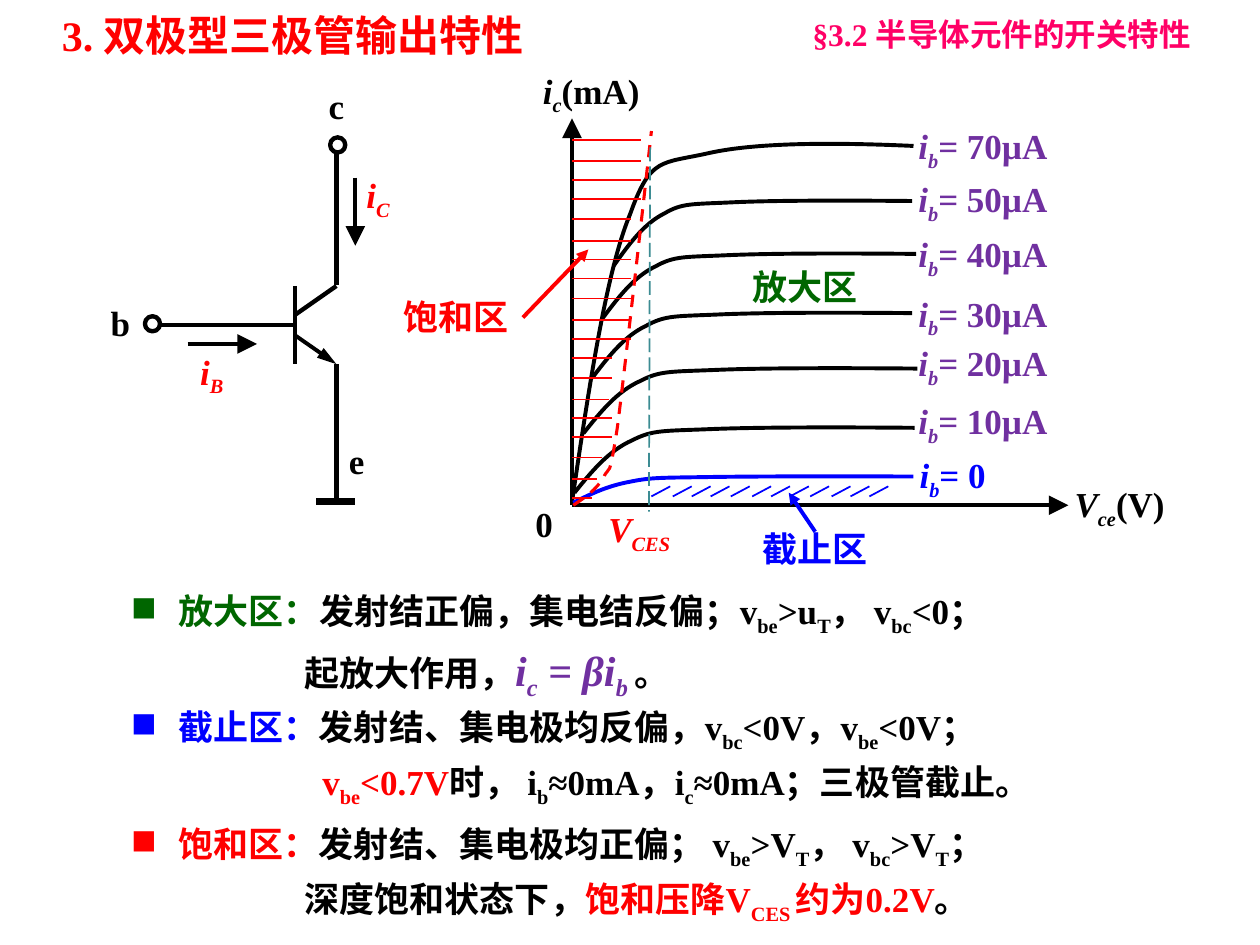
from dataclasses import dataclass
from lxml.etree import SubElement
from pptx import Presentation
from pptx.dml.color import RGBColor
from pptx.enum.dml import MSO_LINE_DASH_STYLE as Dash
from pptx.enum.shapes import MSO_CONNECTOR as Connector, MSO_SHAPE as Shape
from pptx.enum.text import MSO_ANCHOR as Anchor, MSO_AUTO_SIZE as AutoSize, PP_ALIGN as Align
from pptx.oxml.ns import qn
from pptx.util import Inches, Pt


@dataclass(frozen=True)
class Theme:
    font: str = "Times New Roman"
    black: str = "000000"
    white: str = "FFFFFF"
    red: str = "FF0000"
    green: str = "006600"
    blue: str = "0000FF"
    purple: str = "7030A0"
    pink: str = "FF0066"
    teal: str = "3C8C93"
    title: int = 24
    section: int = 18
    body: int = 20


T = Theme()

# Text pieces are (markup, colour, italic, size); {x} in the markup is a subscript.
TITLE = "3. 双极型三极管输出特性"
SECTION = "§3.2 半导体元件的开关特性"

# Region notes: top, width, height, heading colour, first line, second line, its indent
NOTES = [
    (4.63, 8.12, 0.92, T.green,
     [("放大区：", T.green), ("发射结正偏，集电结反偏；v{be}>u{T}， v{bc}<0；", T.black)],
     [("起放大作用，", T.black), ("i{c} = βi{b }", T.purple, True, T.title), ("。", T.black)], 1.38),
    (5.55, 8.67, 0.84, T.blue,
     [("截止区：", T.blue), ("发射结、集电极均反偏，v{bc}<0V，v{be}<0V；", T.black)],
     [("v{be}<0.7V", T.red), ("时， i{b}≈0mA，i{c}≈0mA；三极管截止。", T.black)], 1.52),
    (6.48, 7.66, 0.84, T.red,
     [("饱和区：", T.red), ("发射结、集电极均正偏； v{be}>V{T}， v{bc}>V{T}；", T.black)],
     [("深度饱和状态下，", T.black), ("饱和压降V{CES }约为0.2V", T.red), ("。", T.black)], 1.38),
]

# Characteristic curves: base current, label left and top, curve left, top, width, height, colours
CURVES = [
    ("70µA", 7.19, 0.94, 4.54, 1.13, 2.71, 2.85, T.black, T.purple),
    ("50µA", 7.19, 1.36, 4.87, 1.59, 2.37, 0.52, T.black, T.purple),
    ("40µA", 7.19, 1.80, 4.78, 2.01, 2.49, 0.52, T.black, T.purple),
    ("30µA", 7.19, 2.27, 4.70, 2.48, 2.54, 0.52, T.black, T.purple),
    ("20µA", 7.19, 2.66, 4.63, 2.92, 2.65, 0.52, T.black, T.purple),
    ("10µA", 7.19, 3.12, 4.56, 3.39, 2.70, 0.52, T.black, T.purple),
    ("0", 7.20, 3.55, 4.55, 3.78, 2.70, 0.21, T.blue, T.blue),
]
# Every curve is this one Bezier outline, in shares of its width and height
CURVE_SHAPE = [(0, 1), (0.05, 0.68), (0.1, 0.36), (0.17, 0.2), (0.23, 0.04), (0.26, 0.06),
               (0.4, 0.03), (0.54, 0), (0.77, 0), (1, 0.01)]
SATURATION_EDGE = [(4.55, 4.01), (4.64, 3.95), (4.73, 3.89), (4.79, 3.79), (4.84, 3.68),
                   (4.83, 3.84), (4.9, 3.39), (4.96, 2.93), (5.17, 1.04), (5.17, 1.04)]

LABELS = [  # left, top, width, pieces
    (8.43, 3.78, 0.94, [("V{ce}", T.black, True), ("(V)", T.black)]),
    (4.21, 0.50, 0.98, [("i{c}", T.black, True), ("(mA)", T.black)]),
    (4.73, 3.98, 0.74, [("V{CES}", T.red, True)]),
    (5.87, 2.06, 1.05, [("放大区", T.green)]),
    (3.10, 2.30, 1.05, [("饱和区", T.red)]),
    (5.95, 4.14, 1.05, [("截止区", T.blue)]),
    (4.15, 3.94, 0.34, [("0", T.black)]),
    (1.49, 2.73, 0.40, [("i{B}", T.red, True)]),
    (2.81, 1.33, 0.40, [("i{C}", T.red, True)]),
    (2.51, 0.62, 0.33, [("c", T.black)]),
    (0.78, 2.34, 0.36, [("b", T.black)]),
    (2.67, 3.44, 0.33, [("e", T.black)]),
]

ORIGIN_X, ORIGIN_Y = 4.54, 4.01
AXES = [(ORIGIN_X, ORIGIN_Y, 8.48, ORIGIN_Y), (ORIGIN_X, ORIGIN_Y, ORIGIN_X, 0.94)]
CURRENTS = [(1.49, 2.73, 2.04, 2.73), (2.82, 1.41, 2.82, 1.95)]
WIRES = [(2.67, 1.17, 2.67, 2.26), (2.67, 2.89, 2.67, 3.98), (2.34, 2.27, 2.34, 2.89),
         (2.67, 2.27, 2.34, 2.5), (1.26, 2.58, 2.35, 2.58)]
TERMINALS = [(2.62, 1.09), (1.15, 2.51)]

# Hatching repeats in groups of four lines
HATCH_STEPS = [0, 0.17, 0.32, 0.47]
HATCH_PERIOD = 0.63
SATURATION_RIGHTS = [5.09] * 4 + [5.01] * 7 + [4.86, 4.86, 4.83, 4.86, 4.86, 4.78, 4.74, 4.7]


def rgb(colour):
    return RGBColor.from_string(colour)


def hatch_offset(index):
    group, step = divmod(index, len(HATCH_STEPS))
    return group * HATCH_PERIOD + HATCH_STEPS[step]


def write(paragraph, pieces):
    """Add runs to a paragraph, lowering whatever stands in braces."""
    for markup, colour, *rest in pieces:
        italic, size = (rest + [False, T.body][len(rest):])
        for index, text in enumerate(markup.replace("}", "{").split("{")):
            if not text:
                continue
            run = paragraph.add_run()
            run.text = text
            font = run.font
            font.name, font.size, font.bold, font.italic = T.font, Pt(size), True, italic
            font.color.rgb = rgb(colour)
            if index % 2:
                font._element.set("baseline", "-25000")


def add_text(slide, left, top, width, height, pieces, wrap=False):
    box = slide.shapes.add_textbox(*map(Inches, (left, top, width, height)))
    box.text_frame.word_wrap = wrap
    write(box.text_frame.paragraphs[0], pieces)
    return box.text_frame


def set_indent(paragraph, margin, indent, bullet_colour=None):
    properties = paragraph._p.get_or_add_pPr()
    properties.set("marL", str(Inches(margin)))
    properties.set("indent", str(Inches(indent)))
    if bullet_colour:
        colour = SubElement(properties, qn("a:buClr"))
        SubElement(colour, qn("a:srgbClr")).set("val", bullet_colour)
        SubElement(properties, qn("a:buChar")).set("char", "■")


def add_line(slide, ends, colour=T.black, width=2.25, arrow=None, dash=None):
    """Draw a straight line; arrow is the (width, length) of a head at its end."""
    line = slide.shapes.add_connector(Connector.STRAIGHT, *map(Inches, ends))
    line.line.color.rgb, line.line.width = rgb(colour), Pt(width)
    if dash:
        line.line.dash_style = dash
    if arrow:
        tail = SubElement(line.line._get_or_add_ln(), qn("a:tailEnd"))
        for key, value in zip(("type", "w", "len"), ("triangle", *arrow)):
            tail.set(key, value)
    SubElement(line._element.spPr, qn("a:effectLst"))


def add_curve(slide, points, colour, width=2.25, dash=None):
    """Draw a Bezier chain: a start, then two control points and an end per segment."""
    start, *others = [(Inches(x), Inches(y)) for x, y in points]
    builder = slide.shapes.build_freeform(*start)
    builder.add_line_segments(others, close=False)
    shape = builder.convert_to_shape()
    outline = next(shape._element.iter(qn("a:path")))
    steps = outline.findall(qn("a:lnTo"))
    for first in range(0, len(steps), 3):
        segment = SubElement(outline, qn("a:cubicBezTo"))
        for step in steps[first:first + 3]:
            segment.append(step[0])
            outline.remove(step)
    shape.fill.background()
    shape.shadow.inherit = False
    shape.line.color.rgb, shape.line.width = rgb(colour), Pt(width)
    if dash:
        shape.line.dash_style = dash


def add_graph(slide):
    for axis in AXES:
        add_line(slide, axis, arrow=("lg", "lg"))
    for current, label_left, label_top, left, top, width, height, colour, label_colour in CURVES:
        add_curve(slide, [(left + x * width, top + y * height) for x, y in CURVE_SHAPE], colour)
        add_text(slide, label_left, label_top, 1.25, 0.44,
                 [("i{b}", label_colour, True), (f"= {current}", label_colour)])
    add_curve(slide, SATURATION_EDGE, T.red, 1.75, Dash.DASH)
    for index in range(12):
        left = 5.17 + hatch_offset(index)
        add_line(slide, (left + 0.15, 3.86, left, 3.94), T.blue, 1)
    for index, right in enumerate(SATURATION_RIGHTS):
        y = 1.11 + hatch_offset(index)
        add_line(slide, (ORIGIN_X, y, right, y), T.red, 1)
    add_line(slide, (6.47, 4.22, 6.26, 3.91), T.blue, arrow=("med", "med"))
    add_line(slide, (4.15, 2.52, 4.67, 1.98), T.red, arrow=("med", "med"))
    add_line(slide, (5.16, 1.17, 5.15, 4.06), T.teal, 1, dash=Dash.LONG_DASH)


def add_transistor(slide):
    for wire in WIRES:
        add_line(slide, wire, width=2.5)
    add_line(slide, (2.34, 2.66, 2.67, 2.89), arrow=("med", "lg"))
    add_line(slide, (2.51, 3.98, 2.82, 3.98), width=4.5)
    for current in CURRENTS:
        add_line(slide, current, arrow=("lg", "lg"))
    for left, top in TERMINALS:
        circle = slide.shapes.add_shape(Shape.OVAL, *map(Inches, (left, top, 0.12, 0.12)))
        circle.shadow.inherit = False
        circle.fill.solid()
        circle.fill.fore_color.rgb = rgb(T.white)
        circle.line.color.rgb, circle.line.width = rgb(T.black), Pt(2.5)


def main():
    presentation = Presentation()
    presentation.slide_width, presentation.slide_height = Inches(10), Inches(7.5)
    slide = presentation.slides.add_slide(presentation.slide_layouts[5])
    title = slide.shapes.title
    title.left, title.top, title.width, title.height = map(Inches, (0.39, 0, 4.49, 0.55))
    title.text_frame.auto_size, title.text_frame.vertical_anchor = AutoSize.NONE, Anchor.MIDDLE
    title.text_frame.paragraphs[0].alignment = Align.LEFT
    write(title.text_frame.paragraphs[0], [(TITLE, T.red, False, T.title)])
    add_text(slide, 6.35, 0.07, 3.58, 0.4, [(SECTION, T.pink, False, T.section)], wrap=True)
    for top, width, height, colour, first, second, margin in NOTES:
        frame = add_text(slide, 0.94, top, width, height, first, wrap=True)
        set_indent(frame.paragraphs[0], 0.38, -0.38, colour)
        paragraph = frame.add_paragraph()
        set_indent(paragraph, margin, 0)
        paragraph.space_before = Pt(4)
        write(paragraph, second)
    add_graph(slide)
    add_transistor(slide)
    for left, top, width, pieces in LABELS:
        add_text(slide, left, top, width, 0.44, pieces)
    presentation.save("out.pptx")


if __name__ == "__main__":
    main()
